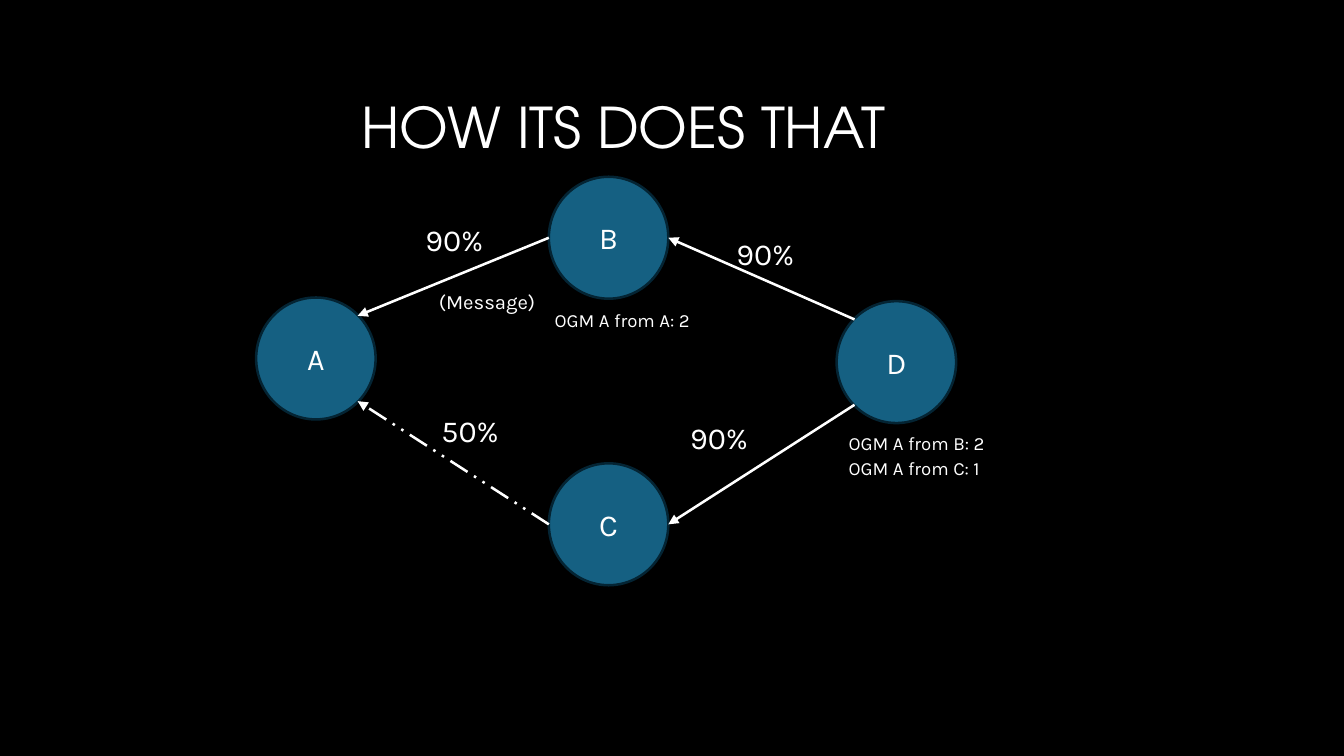
"""Build the slide showing how node D picks its route to node A."""
from lxml import etree
from pptx import Presentation
from pptx import util as u
from pptx.dml.color import RGBColor
from pptx.enum import dml, shapes, text
from pptx.oxml.ns import qn

BLACK = RGBColor(0x00, 0x00, 0x00)
WHITE = RGBColor(0xFF, 0xFF, 0xFF)
BLUE = RGBColor(0x15, 0x60, 0x82)
NAVY = RGBColor(0x04, 0x24, 0x33)
NODE_W, NODE_H = 0.98, 1


def add_run(p, words, size, font="Karla"):
    r = p.add_run()
    r.text = words
    r.font.size = u.Pt(size)
    r.font.name = font
    r.font.color.rgb = WHITE


def add_box(s, x, y, w, h, wrap):
    tf = s.shapes.add_textbox(u.Inches(x), u.Inches(y), u.Inches(w), u.Inches(h)).text_frame
    tf.word_wrap = wrap
    return tf


prs = Presentation()
prs.slide_width, prs.slide_height = u.Inches(11.02), u.Inches(6.2)
s = prs.slides.add_slide(prs.slide_layouts[6])
s.background.fill.solid()
s.background.fill.fore_color.rgb = BLACK

tf = add_box(s, 0, 0.67, 10.23, 0.79, True)
tf.vertical_anchor = text.MSO_ANCHOR.MIDDLE
p = tf.paragraphs[0]
p.alignment = text.PP_ALIGN.CENTER
p.line_spacing = 0.9
p.space_after = u.Pt(10.5)
add_run(p, "HOW ITS DOES THAT", 33.1, "TeX Gyre Adventor")

nodes = {"A": (2.1, 2.44), "B": (4.5, 1.45), "C": (4.5, 3.8), "D": (6.86, 2.47)}
for name, (x, y) in nodes.items():
    sp = s.shapes.add_shape(shapes.MSO_SHAPE.OVAL, u.Inches(x), u.Inches(y),
                            u.Inches(NODE_W), u.Inches(NODE_H))
    sp.shadow.inherit = False
    sp.fill.solid()
    sp.fill.fore_color.rgb = BLUE
    sp.line.color.rgb = NAVY
    sp.line.width = u.Pt(1.5)
    sp.text_frame.vertical_anchor = text.MSO_ANCHOR.MIDDLE
    p = sp.text_frame.paragraphs[0]
    p.alignment = text.PP_ALIGN.CENTER
    add_run(p, name, 18)

sides = {
    "left": (0, 0.5), "right": (1, 0.5), "top left": (0.15, 0.15),
    "top right": (0.85, 0.15), "bottom left": (0.15, 0.85), "bottom right": (0.85, 0.85),
}
solid, dashed = dml.MSO_LINE.SOLID, dml.MSO_LINE.DASH_DOT_DOT
links = [
    ("B", "left", "A", "top right", solid),
    ("D", "top left", "B", "right", solid),
    ("D", "bottom left", "C", "right", solid),
    ("C", "left", "A", "bottom right", dashed),
]
for start, start_side, end, end_side, dash in links:
    ends = []
    for name, side in ((start, start_side), (end, end_side)):
        (x, y), (fx, fy) = nodes[name], sides[side]
        ends += [u.Inches(x + fx * NODE_W), u.Inches(y + fy * NODE_H)]
    link = s.shapes.add_connector(shapes.MSO_CONNECTOR.STRAIGHT, *ends)
    link.line.color.rgb = WHITE
    link.line.width = u.Pt(1.5)
    link.line.dash_style = dash
    props = link.element.spPr
    etree.SubElement(props.find(qn("a:ln")), qn("a:tailEnd"), type="triangle")
    etree.SubElement(props, qn("a:effectLst"))

labels = [
    ("90%", 3.39, 1.76, 0.69, 0.4, 18, False),
    ("90%", 5.94, 1.88, 0.69, 0.4, 18, False),
    ("90%", 5.56, 3.39, 0.69, 0.4, 18, False),
    ("50%", 3.52, 3.33, 0.69, 0.4, 18, False),
    ("OGM A from B: 2", 6.86, 3.49, 2.07, 0.29, 11, True),
    ("OGM A from C: 1", 6.86, 3.7, 2.07, 0.29, 11, True),
    ("(Message)", 3.5, 2.32, 1, 0.3, 12, False),
    ("OGM A from A: 2", 4.45, 2.48, 2.07, 0.29, 11, True),
]
for words, x, y, w, h, size, wrap in labels:
    tf = add_box(s, x, y, w, h, wrap)
    tf.auto_size = text.MSO_AUTO_SIZE.SHAPE_TO_FIT_TEXT
    add_run(tf.paragraphs[0], words, size)

prs.save("out.pptx")
